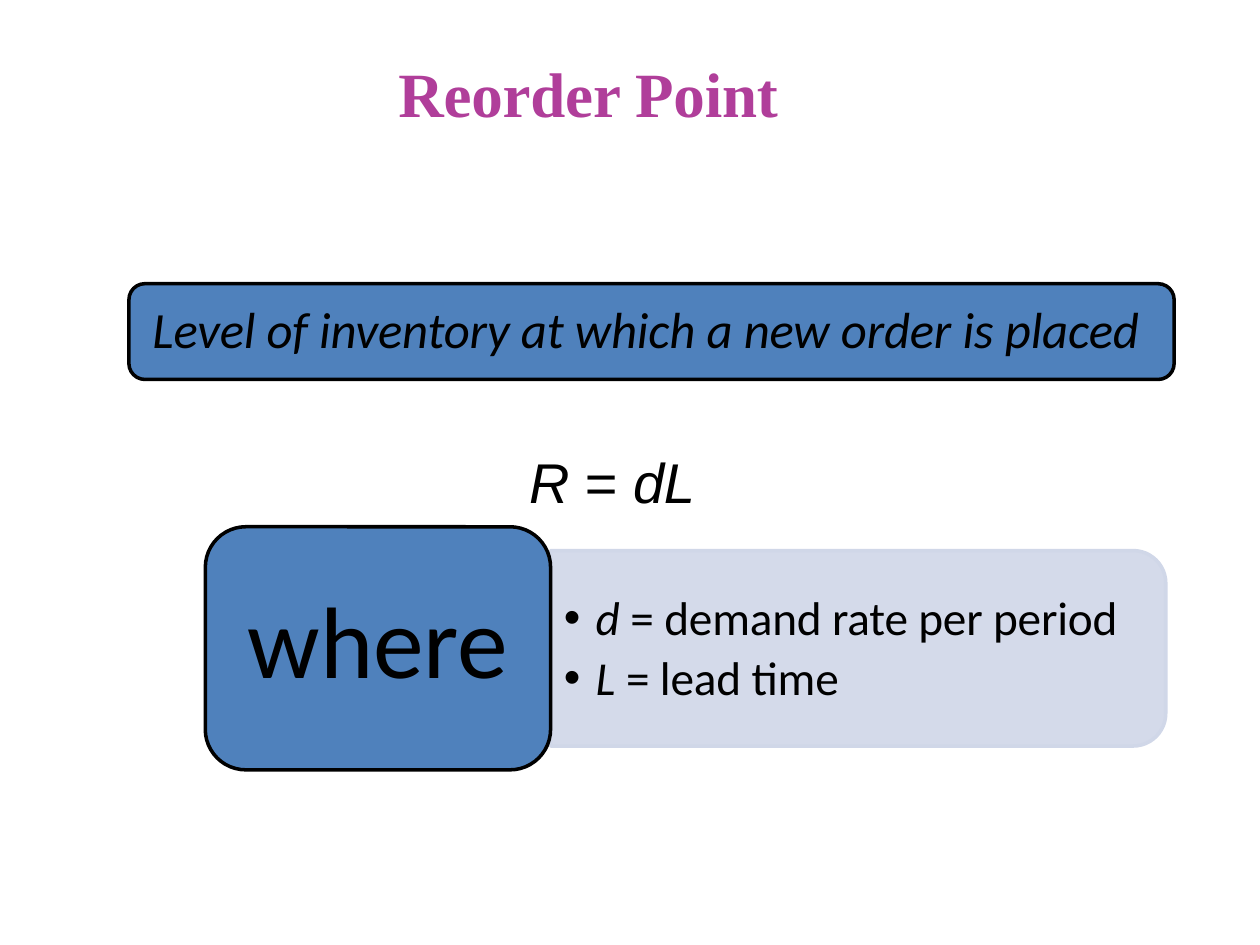
from lxml import etree
from pptx import Presentation
from pptx.dml.color import RGBColor
from pptx.enum import shapes, text
from pptx.oxml import ns
from pptx.util import Cm, Pt

PURPLE = RGBColor(0xB0, 0x3E, 0x9A)
BLUE = RGBColor(0x4F, 0x81, 0xBC)
PALE = RGBColor(0xD0, 0xD7, 0xE8)
BLACK = RGBColor(0, 0, 0)


def set_frame(frame, anchor, left=0, bottom=0):
    frame.word_wrap = True
    frame.vertical_anchor = anchor
    frame.margin_left, frame.margin_bottom = Cm(left), Cm(bottom)
    frame.margin_right = frame.margin_top = 0
    return frame


def add_textbox(slide, left, top, width, height):
    box = slide.shapes.add_textbox(Cm(left), Cm(top), Cm(width), Cm(height))
    return set_frame(box.text_frame, text.MSO_ANCHOR.TOP)


def add_run(paragraph, wording, size, font="Calibri", color=BLACK, bold=False, italic=False):
    run = paragraph.add_run()
    run.text = wording
    run.font.name, run.font.size = font, Pt(size)
    run.font.bold, run.font.italic = bold, italic
    run.font.color.rgb = color
    run.font._element.set("spc", "-10")


def add_block(slide, preset, left, top, width, height, fill, line):
    block = slide.shapes.add_shape(preset, Cm(left), Cm(top), Cm(width), Cm(height))
    block.shadow.inherit = False
    block.fill.solid()
    block.fill.fore_color.rgb = fill
    block.line.color.rgb = line
    block.line.width = Pt(2)
    return block


def add_bullet(paragraph):
    properties = paragraph._p.get_or_add_pPr()
    properties.set("marL", str(Cm(0.66)))
    properties.set("indent", str(-Cm(0.64)))
    font = etree.SubElement(properties, ns.qn("a:buFont"))
    font.set("typeface", "Arial")
    etree.SubElement(properties, ns.qn("a:buChar")).set("char", "•")


def add_title(slide, left, top, width, height):
    heading = add_textbox(slide, left, top, width, height).paragraphs[0]
    add_run(heading, "Reorder Point", 36, "Times New Roman", PURPLE, bold=True)


def add_banner(slide, left, top, width, height):
    banner = add_block(slide, shapes.MSO_SHAPE.ROUNDED_RECTANGLE,
                       left, top, width, height, BLUE, BLACK)
    frame = set_frame(banner.text_frame, text.MSO_ANCHOR.MIDDLE, left=0.38, bottom=0.15)
    definition = frame.paragraphs[0]
    definition.alignment = text.PP_ALIGN.LEFT
    add_run(definition, "Level of inventory at which a new order is placed", 29, italic=True)


def add_formula(slide, left, top, width, height):
    formula = add_textbox(slide, left, top, width, height).paragraphs[0]
    formula.alignment = text.PP_ALIGN.CENTER
    for wording, italic in (("R ", True), ("= ", False), ("dL", True)):
        add_run(formula, wording, 32, "Arial", italic=italic)


def add_legend(slide, left, top, width, height):
    card_width, inset = 6.96, 0.48
    panel_width, panel_height = width - card_width, height - 2 * inset
    panel_left, panel_top = left + card_width, top + inset
    shift = (panel_width - panel_height) / 2
    panel = add_block(slide, shapes.MSO_SHAPE.ROUND_2_SAME_RECTANGLE,
                      panel_left + shift, panel_top - shift,
                      panel_height, panel_width, PALE, PALE)
    panel.rotation = 90
    fill_color = panel.fill._xPr.find(ns.qn("a:solidFill"))[0]
    etree.SubElement(fill_color, ns.qn("a:alpha")).set("val", "90000")

    symbols = add_textbox(slide, panel_left + 0.25, panel_top + 0.76, panel_width - 0.5, 2.5)
    meanings = (("d ", "= demand rate per period"), ("L ", "= lead time"))
    for index, (symbol, meaning) in enumerate(meanings):
        entry = symbols.add_paragraph() if index else symbols.paragraphs[0]
        add_bullet(entry)
        if index:
            entry.space_before = Pt(2)
        add_run(entry, symbol, 27, italic=True)
        add_run(entry, meaning, 27)

    card = add_block(slide, shapes.MSO_SHAPE.ROUNDED_RECTANGLE,
                     left, top, card_width, height, BLUE, BLACK)
    frame = set_frame(card.text_frame, text.MSO_ANCHOR.MIDDLE, bottom=0.43)
    frame.paragraphs[0].alignment = text.PP_ALIGN.CENTER
    add_run(frame.paragraphs[0], "where", 58)


def main():
    deck = Presentation()
    deck.slide_width, deck.slide_height = Cm(25.4), Cm(19.05)
    slide = deck.slides.add_slide(deck.slide_layouts[6])
    add_title(slide, 8.03, 1.1, 9.32, 1.57)
    add_banner(slide, 2.6, 5.72, 21.07, 1.93)
    add_formula(slide, 9.8, 9.02, 5.08, 1.3)
    add_legend(slide, 4.14, 10.62, 19.36, 4.9)
    deck.save("out.pptx")


if __name__ == "__main__":
    main()
